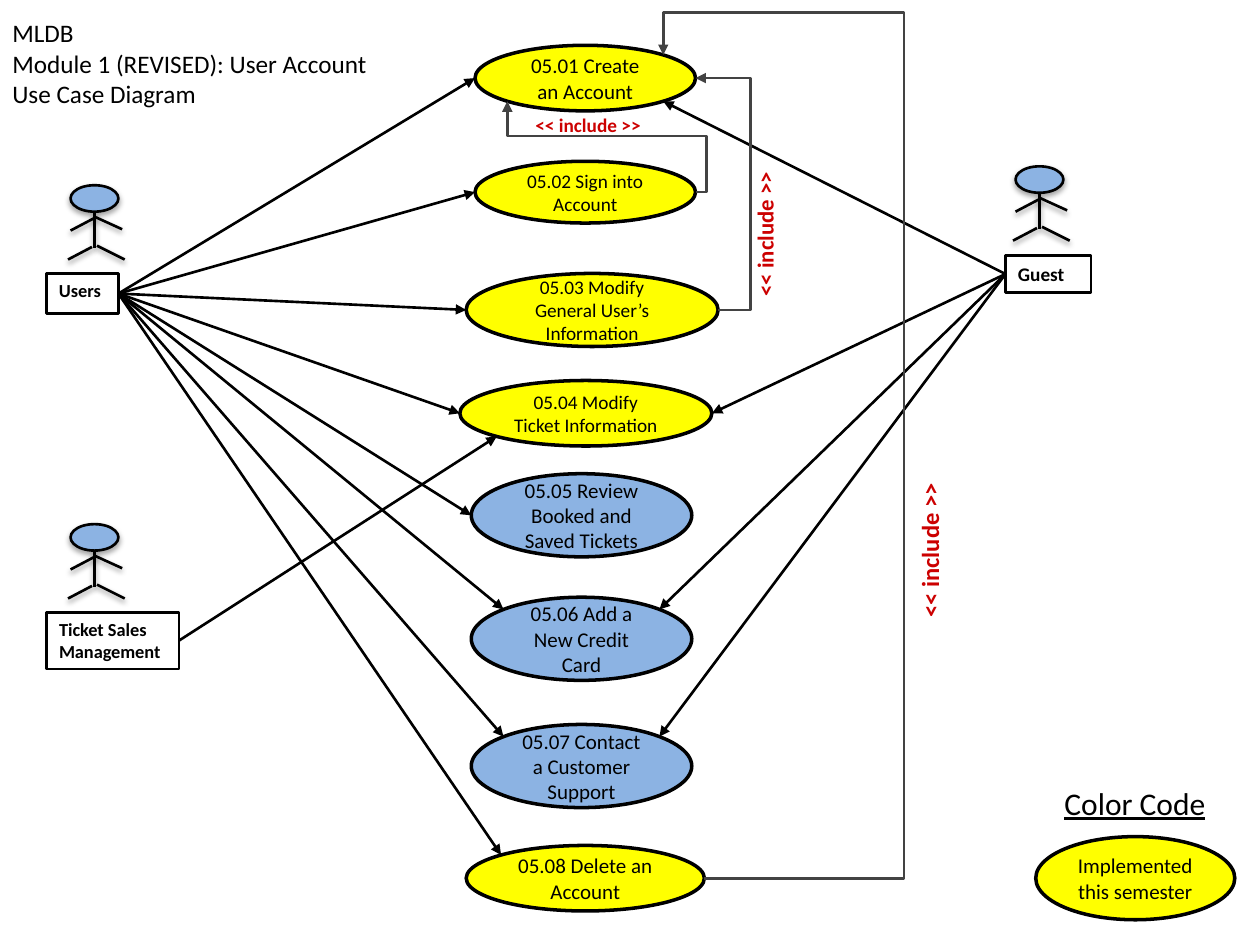
from math import cos, radians, sin

from lxml import etree
from pptx import Presentation
from pptx.dml.color import RGBColor
from pptx.enum.shapes import MSO_CONNECTOR, MSO_SHAPE
from pptx.enum.text import MSO_ANCHOR, PP_ALIGN
from pptx.oxml.ns import qn
from pptx.util import Inches, Pt

STRAIGHT, ELBOW = MSO_CONNECTOR.STRAIGHT, MSO_CONNECTOR.ELBOW
OVAL, RECT = MSO_SHAPE.OVAL, MSO_SHAPE.RECTANGLE
TOP, MIDDLE, BOTTOM = MSO_ANCHOR.TOP, MSO_ANCHOR.MIDDLE, MSO_ANCHOR.BOTTOM
LEFT, CENTER = PP_ALIGN.LEFT, PP_ALIGN.CENTER

BLACK = RGBColor(0, 0, 0)
YELLOW = RGBColor(0xFF, 0xFF, 0)
BLUE = RGBColor(0x8C, 0xB3, 0xE3)
RED = RGBColor(0xCC, 0, 0)
GRAY = RGBColor(0x43, 0x43, 0x43)
FONT = "Calibri"

# Content: lengths in inches, text sizes in points
TITLE = ["MLDB", "Module 1 (REVISED): User Account", "Use Case Diagram"]
TITLE_BOX = (0, 0.33, 3.33, 0.58)

USE_CASES = {  # key: (text, size, fill, box)
    1: ("05.01 Create an Account", 12, YELLOW, (3.77, 0.36, 1.75, 0.52)),
    2: ("05.02 Sign into Account", 11, YELLOW, (3.77, 1.28, 1.75, 0.49)),
    3: ("05.03 Modify General User’s Information", 11, YELLOW, (3.7, 2.17, 2, 0.58)),
    4: ("05.04 Modify Ticket Information", 11, YELLOW, (3.65, 3.02, 2, 0.52)),
    5: ("05.05 Review Booked and Saved Tickets", 12, BLUE, (3.74, 3.76, 1.75, 0.66)),
    6: ("05.06 Add a New Credit Card", 12, BLUE, (3.74, 4.74, 1.75, 0.66)),
    7: ("05.07 Contact a Customer Support", 12, BLUE, (3.74, 5.75, 1.75, 0.66)),
    8: ("05.08 Delete an Account", 12, YELLOW, (3.7, 6.71, 1.89, 0.52)),
}
LEGEND = ("Implemented this semester", 12, YELLOW, (8.22, 6.64, 1.58, 0.66))

# Ellipse sites run anticlockwise from the top in steps of 45 degrees
NW, W, SW, SE, E, NE = 1, 2, 3, 5, 6, 7
RECT_LEFT, RECT_RIGHT = 1, 3
ACTORS = [  # (name, size, head corner, label box, label side, [(use case, site)])
    ("Users", 10.5, (0.56, 1.47), (0.37, 2.17, 0.57, 0.32), RECT_RIGHT,
     [(1, W), (2, W), (3, W), (4, W), (5, W), (6, NW), (7, NW), (8, NW)]),
    ("Guest", 11, (8.06, 1.32), (7.98, 2.03, 0.68, 0.29), RECT_LEFT,
     [(1, SE), (4, E), (6, NE), (7, NE)]),
    ("Ticket Sales Management", 10.5, (0.56, 4.16), (0.37, 4.86, 1.05, 0.45),
     RECT_RIGHT, [(4, SW)]),
]
HEAD = (0.38, 0.21)
LIMBS = [  # from and to, measured from the head's corner
    (0.19, 0.21, 0.19, 0.5),
    (0.19, 0.26, 0, 0.36),
    (0.19, 0.25, 0.41, 0.35),
    (0.17, 0.49, -0.02, 0.59),
    (0.21, 0.48, 0.43, 0.59),
]

INCLUDES = [  # (use case from, site of use case 1, preset, adjustments)
    (2, SW, "bentConnector4", (-0.057, 0.617)),
    (8, NE, "bentConnector4", (-4.853, 1.052)),
    (3, E, "bentConnector3", (-1.433,)),
]
INCLUDE_LABELS = [  # (size, box, rotation)
    (14, (6.58, 4.14, 1.44, 0.28), 270),
    (11, (4.15, 0.81, 1.05, 0.26), 0),
    (13, (5.35, 1.7, 1.26, 0.24), 270),
]


def inches(values):
    return [Inches(v) for v in values]


def write(sp, lines, size, color=BLACK, bold=False, underline=False,
          align=LEFT, anchor=TOP, inset=0.05):
    tf = sp.text_frame
    tf.word_wrap = True
    tf.vertical_anchor = anchor
    tf.margin_left = tf.margin_right = Inches(0.1)
    tf.margin_top = tf.margin_bottom = Inches(inset)
    for i, line in enumerate(lines):
        p = tf.add_paragraph() if i else tf.paragraphs[0]
        p.alignment = align
        r = p.add_run()
        r.text = line
        r.font.name, r.font.size, r.font.color.rgb = FONT, Pt(size), color
        r.font.bold, r.font.underline = bold, underline


def add_box(shapes, kind, box, fill, width):
    sp = shapes.add_shape(kind, *inches(box))
    sp.shadow.inherit = False
    if fill is None:
        sp.fill.background()
    else:
        sp.fill.solid()
        sp.fill.fore_color.rgb = fill
    sp.line.color.rgb, sp.line.width = BLACK, Pt(width)
    return sp


def add_text(box, lines, size, rotation=0, **style):
    sp = s.shapes.add_textbox(*inches(box))
    sp.rotation = rotation
    write(sp, lines, size, **style)


def add_use_case(text, size, fill, box):
    sp = add_box(s.shapes, OVAL, box, fill, 2)
    write(sp, [text], size, align=CENTER, anchor=MIDDLE)
    return sp


def add_line(shapes, kind, ends, color=BLACK, arrow=True):
    c = shapes.add_connector(kind, *inches(ends))
    c.line.color.rgb, c.line.width = color, Pt(1.5)
    if arrow:
        etree.SubElement(c.line._get_or_add_ln(), qn("a:tailEnd"), type="triangle")
    etree.SubElement(c._element.spPr, qn("a:effectLst"))
    return c


def add_shadow(sp, opacity):
    effects = sp._element.spPr.find(qn("a:effectLst"))
    shadow = etree.SubElement(effects, qn("a:outerShdw"), blurRad=str(Pt(3.1)),
                              dist=str(Pt(1.7)), dir="5400000", rotWithShape="0")
    color = etree.SubElement(shadow, qn("a:srgbClr"), val="000000")
    etree.SubElement(color, qn("a:alpha"), val=str(opacity * 1000))


def site_point(case, site):
    x, y, w, h = USE_CASES[case][3]
    angle = radians(90 + 45 * site)
    return x + w / 2 * (1 + cos(angle)), y + h / 2 * (1 - sin(angle))


prs = Presentation()
prs.slide_width, prs.slide_height = Inches(10), Inches(7.5)
s = prs.slides.add_slide(prs.slide_layouts[6])

# Title, use cases and legend
add_text(TITLE_BOX, TITLE, 14.4, anchor=BOTTOM)
ovals = {key: add_use_case(*case) for key, case in USE_CASES.items()}
add_use_case(*LEGEND)
add_text((8.35, 6.17, 1.33, 0.4), ["Color Code"], 18, underline=True)

# Actors: stick figure, label and arrows to the use cases
for name, size, (x, y), box, side, targets in ACTORS:
    figure = s.shapes.add_group_shape().shapes
    add_shadow(add_box(figure, OVAL, (x, y, *HEAD), BLUE, 1.5), 35)
    for x1, y1, x2, y2 in LIMBS:
        limb = (x + x1, y + y1, x + x2, y + y2)
        add_shadow(add_line(figure, STRAIGHT, limb, arrow=False), 38)
    label = add_box(figure, RECT, box, None, 1.5)
    write(label, [name], size, bold=True)
    start = (box[0] + (box[2] if side == RECT_RIGHT else 0), box[1] + box[3] / 2)
    for case, site in targets:
        c = add_line(s.shapes, STRAIGHT, (*start, *site_point(case, site)))
        c.begin_connect(label, side)
        etree.SubElement(c._element.nvCxnSpPr.cNvCxnSpPr, qn("a:endCxn"),
                         id=str(ovals[case].shape_id), idx=str(site))

# Include arrows: bent connectors turned by 180 degrees, ending at use case 1
for case, site, preset, adjustments in INCLUDES:
    c = add_line(s.shapes, ELBOW, (*site_point(1, site), *site_point(case, E)), GRAY)
    c._element.spPr.find(qn("a:xfrm")).set("rot", "10800000")
    geometry = c._element.spPr.find(qn("a:prstGeom"))
    geometry.set("prst", preset)
    guides = geometry.find(qn("a:avLst"))
    for i, share in enumerate(adjustments, 1):
        etree.SubElement(guides, qn("a:gd"), name=f"adj{i}",
                         fmla=f"val {round(share * 100000)}")
for size, box, rotation in INCLUDE_LABELS:
    add_text(box, ["<< include >>"], size, rotation, color=RED, bold=True, inset=0.1)

prs.save("out.pptx")
